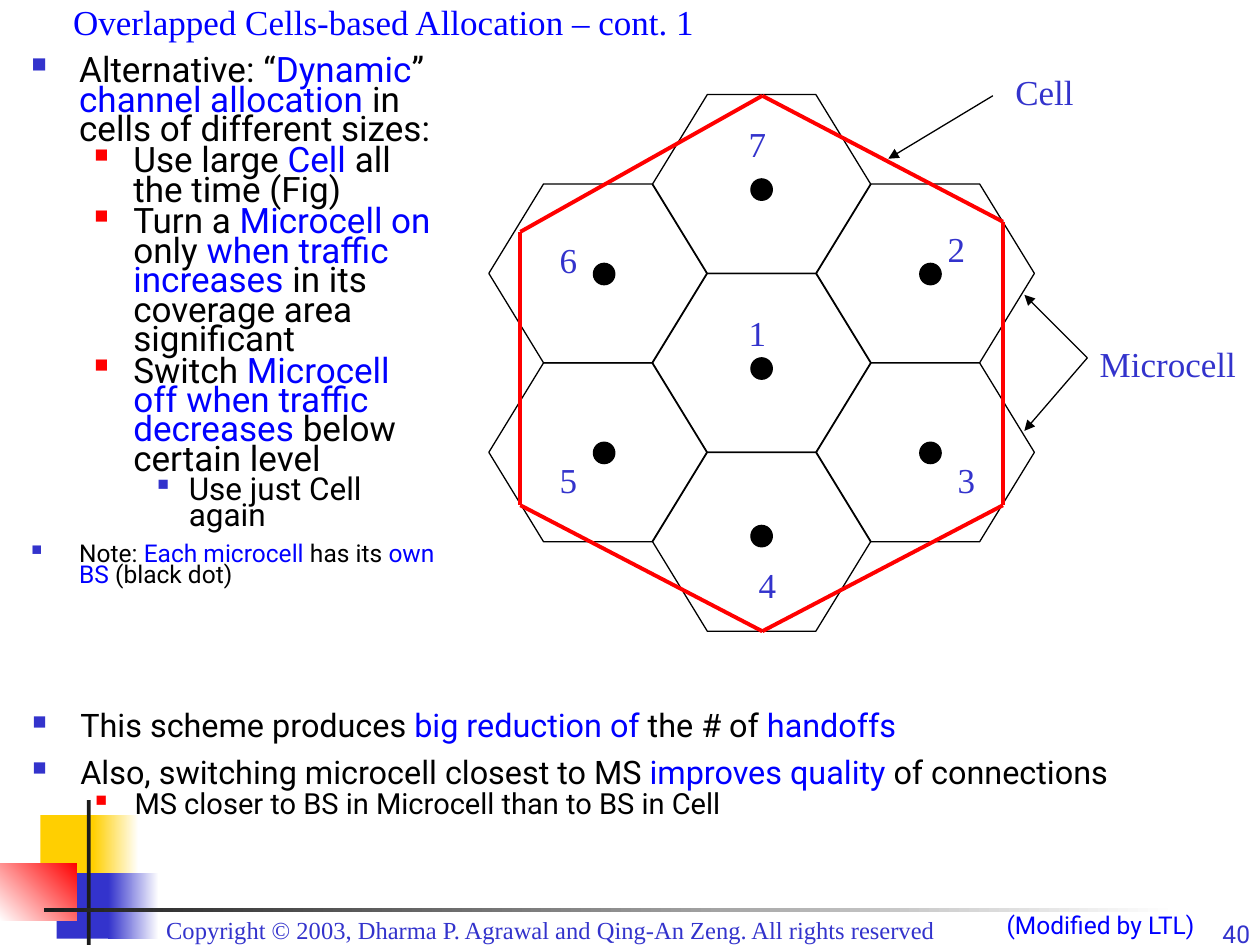
from dataclasses import dataclass
from itertools import pairwise

from lxml.etree import SubElement as add_element
from pptx import Presentation
from pptx.dml.color import RGBColor as Color
from pptx.enum.shapes import MSO_CONNECTOR as Connector, MSO_SHAPE as Preset
from pptx.enum.text import MSO_ANCHOR as Anchor, MSO_AUTO_SIZE as AutoSize, PP_ALIGN as Align
from pptx.oxml.ns import qn
from pptx.util import Inches, Pt


@dataclass(frozen=True)
class Theme:
    serif: str = "Times New Roman"
    sans: str = "Roboto"
    ink: str = "000000"
    accent: str = "0000FF"
    label: str = "3333CC"
    cell: str = "FF0000"
    paper: str = "FFFFFF"
    gold: str = "FFCF01"
    rule: str = "1C1C1C"
    heading_size: float = 20
    footer_size: float = 14
    thin: float = 0.75
    thick: float = 2.25


THEME = Theme()
WIDTH, HEIGHT = Inches(10), Inches(7.5)
COLUMNS, ROWS = 10, 7.5

# Bullet levels: left margin, hanging indent, bullet colour, bullet percentage
LEVELS = [(0.38, 0.38, THEME.label, 60),
          (0.81, 0.31, THEME.cell, 55),
          (1.25, 0.25, THEME.label, 50)]

HEX_LEFT, HEX_TOP, HEX_STEP, HEX_ROW = 3.88, 0.75, 1.3, 0.71
HEX_WIDTH, HEX_HEIGHT, DOT = 1.73, 2 * HEX_ROW, 0.17

# Microcells: number, column, half row, base station, number label
MICROCELLS = [("1", 1, 2, (5.96, 2.84), (5.8, 2.42)),
              ("2", 2, 1, (7.3, 2.09), (7.38, 1.76)),
              ("3", 2, 3, (7.3, 3.51), (7.46, 3.59)),
              ("4", 1, 4, (5.96, 4.17), (5.88, 4.42)),
              ("5", 0, 3, (4.71, 3.51), (4.3, 3.59)),
              ("6", 0, 1, (4.71, 2.09), (4.3, 1.84)),
              ("7", 1, 0, (5.96, 1.42), (5.8, 0.92))]

CELL_OUTLINE = [(6.05, 0.76), (7.96, 1.76), (7.96, 4.01),
                (6.05, 5.01), (4.13, 4.01), (4.13, 1.84)]

ARROWS = [((7.88, 0.76), (7.05, 1.26)),
          ((8.63, 2.84), (8.13, 2.34)),
          ((8.63, 2.84), (8.13, 3.42))]

# Paragraphs: level, size, space before, text with accented parts between bars
ALLOCATION = [
    (0, 20, 0, "Alternative: “|Dynamic|” |channel allocation| in cells of different sizes:"),
    (1, 20, 1.2, "Use large |Cell| all the time (Fig)"),
    (1, 20, 1.2, "Turn a |Microcell on| only |when traffic increases|"
                 " in its coverage area significant"),
    (1, 20, 1.2, "Switch |Microcell off when traffic decreases| below certain level"),
    (2, 18, 1.1, "Use just Cell again"),
    (0, 14, 8, "Note: |Each microcell| has its |own BS| (black dot)"),
]
BENEFITS = [
    (0, 18.5, 0, "This scheme produces |big reduction of| the # of |handoffs|"),
    (0, 18.5, 8.6, "Also, switching microcell closest to MS |improves quality| of connections"),
    (1, 16.6, 1.1, "MS closer to BS in Microcell than to BS in Cell"),
]


def col(count):
    return round(WIDTH * count / COLUMNS)


def row(count):
    return round(HEIGHT * count / ROWS)


def area(left, top, width, height):
    return col(left), row(top), col(width), row(height)


def rgb(value):
    return Color.from_string(value)


def add_span(para, text, size, font, color):
    span = para.add_run()
    span.text = text
    span.font.size = Pt(size)
    span.font.name = font
    span.font.color.rgb = rgb(color)


def add_preset(page, preset, place, fill, line=None):
    shape = page.shapes.add_shape(preset, *area(*place))
    shape.shadow.inherit = False
    shape.fill.solid()
    shape.fill.fore_color.rgb = rgb(fill)
    if line:
        shape.line.color.rgb = rgb(line)
        shape.line.width = Pt(THEME.thin)
    else:
        shape.line.fill.background()
    return shape


def add_fade(page, place, start, end, angle=180):
    fill = add_preset(page, Preset.RECTANGLE, place, end).fill
    fill.gradient()
    fill.gradient_angle = angle
    for stop, color, position in zip(fill.gradient_stops, (start, end), (0, 1)):
        stop.color.rgb = rgb(color)
        stop.position = position


def add_line(page, start, end, color, width, arrow=False):
    line = page.shapes.add_connector(
        Connector.STRAIGHT, col(start[0]), row(start[1]), col(end[0]), row(end[1]))
    line.line.color.rgb = rgb(color)
    line.line.width = Pt(width)
    if arrow:
        add_element(line.line._get_or_add_ln(), qn("a:tailEnd"), type="triangle")
    add_element(line._element.spPr, qn("a:effectLst"))


def add_box(page, place):
    box = page.shapes.add_textbox(*area(*place))
    box.text_frame.word_wrap = True
    return box.text_frame


def add_label(page, place, text, size=THEME.heading_size, font=THEME.serif,
              color=THEME.label, align=Align.LEFT):
    frame = add_box(page, place)
    para = frame.paragraphs[0]
    para.alignment = align
    add_span(para, text, size, font, color)
    return frame


def set_bullet(para, level):
    margin, hanging, color, percent = LEVELS[level]
    props = para._p.get_or_add_pPr()
    props.set("marL", str(Inches(margin)))
    props.set("indent", str(-Inches(hanging)))
    add_element(add_element(props, qn("a:buClr")), qn("a:srgbClr"), val=color)
    add_element(props, qn("a:buSzPct"), val=str(percent * 1000))
    add_element(props, qn("a:buChar"), char="■")


def add_bullets(page, place, items, spacing):
    frame = add_box(page, place)
    for index, (level, size, before, text) in enumerate(items):
        para = frame.add_paragraph() if index else frame.paragraphs[0]
        set_bullet(para, level)
        para.level = level
        para.line_spacing = spacing
        para.space_before = Pt(before)
        for part, words in enumerate(text.split("|")):
            if words:
                color = THEME.accent if part % 2 else THEME.ink
                add_span(para, words, size, THEME.sans, color)


def add_ornament(page):
    add_preset(page, Preset.RECTANGLE, (0.32, 6.47, 0.48, 0.52), THEME.gold)
    add_fade(page, (0.74, 6.47, 0.36, 0.52), THEME.paper, THEME.gold)
    add_preset(page, Preset.RECTANGLE, (0.45, 6.93, 0.46, 0.52), THEME.label)
    add_fade(page, (0.86, 6.93, 0.4, 0.52), THEME.paper, THEME.label)
    add_fade(page, (0, 6.85, 0.61, 0.46), THEME.cell, THEME.paper, 225)
    add_preset(page, Preset.RECTANGLE, (0.69, 6.35, 0.03, 1.15), THEME.rule)
    add_fade(page, (0.35, 7.21, 9, 0.03), THEME.paper, THEME.rule)


def add_footer(page):
    size = THEME.footer_size
    add_label(page, (1.22, 7.21, 7.58, 0.34),
              "Copyright © 2003, Dharma P. Agrawal and Qing-An Zeng. All rights reserved", size)
    number = add_label(page, (9.22, 7.29, 0.8, 0.27), "40", size, THEME.sans, align=Align.RIGHT)
    number.margin_top = number.margin_bottom = 0
    add_label(page, (7.75, 7.17, 1.83, 0.34), "(Modified by LTL)", size,
              THEME.sans, THEME.accent, Align.RIGHT)


def add_title(page, text):
    title = page.shapes.title
    title.left, title.top, title.width, title.height = area(0.48, -0.01, 9.19, 0.4)
    frame = title.text_frame
    frame.auto_size = AutoSize.NONE
    frame.vertical_anchor = Anchor.BOTTOM
    frame.paragraphs[0].alignment = Align.LEFT
    add_span(frame.paragraphs[0], text, THEME.heading_size, THEME.serif, THEME.accent)


def add_cell_map(page):
    for _, column, half_row, _, _ in MICROCELLS:
        place = (HEX_LEFT + column * HEX_STEP, HEX_TOP + half_row * HEX_ROW,
                 HEX_WIDTH, HEX_HEIGHT)
        hexagon = add_preset(page, Preset.HEXAGON, place, THEME.paper, THEME.ink)
        hexagon.adjustments[0] = 0.306
    for start, end in pairwise(CELL_OUTLINE + CELL_OUTLINE[:1]):
        add_line(page, start, end, THEME.cell, THEME.thick)
    for number, _, _, station, label in MICROCELLS:
        add_preset(page, Preset.OVAL, (*station, DOT, DOT), THEME.ink, THEME.ink)
        add_label(page, (*label, 0.42, 0.44), number, align=Align.CENTER)
    for start, end in ARROWS:
        add_line(page, start, end, THEME.ink, THEME.thin, arrow=True)
    add_label(page, (7.96, 0.51, 1.5, 0.44), "Cell")
    add_label(page, (8.63, 2.67, 1.33, 0.44), "Microcell")


def main():
    deck = Presentation()
    deck.slide_width, deck.slide_height = WIDTH, HEIGHT
    page = deck.slides.add_slide(deck.slide_layouts[5])
    add_ornament(page)
    add_footer(page)
    add_title(page, "Overlapped Cells-based Allocation – cont. 1")
    add_cell_map(page)
    add_bullets(page, (0.15, 0.42, 3.45, 4.94), ALLOCATION, 0.7)
    add_bullets(page, (0.16, 5.61, 9.34, 1.05), BENEFITS, 0.8)
    deck.save("out.pptx")


if __name__ == "__main__":
    main()
